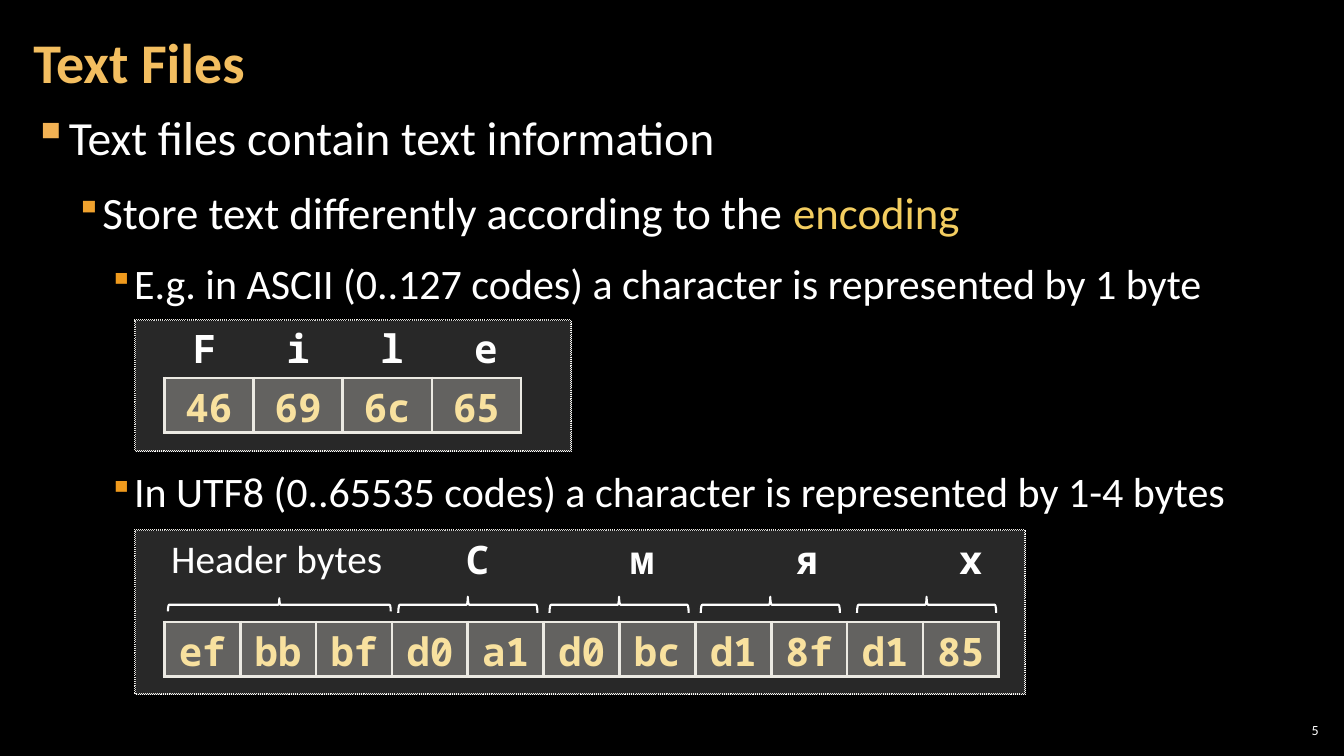
from lxml.etree import SubElement
from pptx import Presentation
from pptx.dml.color import RGBColor
from pptx.enum.dml import MSO_LINE
from pptx.enum.shapes import MSO_SHAPE
from pptx.enum.text import MSO_ANCHOR, PP_ALIGN
from pptx.oxml.ns import qn
from pptx.util import Inches, Pt

COLORS = {
    "background": "000000", "text": "FFFFFF", "title": "F3BE60",
    "keyword": "F3CD60", "byte": "F8E19F", "frame": "ECEAE3",
}
SANS, MONO = "Calibri", "Noto Sans Mono"
# Per level: indent, hanging, text size, bullet colour, bullet size in %
LEVELS = [
    (0.33, 0.33, 34, "F2B254", 100),
    (0.67, 0.25, 32, "F0A22E", 80),
    (1.0, 0.25, 30, "EF9A1D", 80),
]


def rgb(name):
    return RGBColor.from_string(COLORS[name])


def add(parent, tag, **attrs):
    """Append a DrawingML element with the given attributes."""
    el = SubElement(parent, qn(f"a:{tag}"))
    for key, value in attrs.items():
        el.set(key, str(value))
    return el


def set_alpha(fill_parent, percent):
    color = fill_parent.find(qn("a:solidFill")).find(qn("a:srgbClr"))
    add(color, "alpha", val=percent * 1000)


def style_runs(p, size, color="text", font=SANS, bold=False):
    for r in p.runs:
        r.font.size = Pt(size)
        r.font.name = font
        r.font.bold = bold
        r.font.color.rgb = rgb(color)


def set_insets(tf, horizontal, vertical):
    tf.margin_left = tf.margin_right = Inches(horizontal)
    tf.margin_top = tf.margin_bottom = Inches(vertical)


def add_text(s, box, text, size, align=PP_ALIGN.LEFT, **style):
    tf = s.shapes.add_textbox(*map(Inches, box)).text_frame
    tf.word_wrap = True
    p = tf.paragraphs[0]
    p.text = text
    p.alignment = align
    style_runs(p, size, **style)
    return tf


def add_title(s, text):
    title = s.shapes.title
    title.left, title.top = Inches(0.21), Inches(0.04)
    title.width, title.height = Inches(10.47), Inches(1.21)
    tf = title.text_frame
    set_insets(tf, 0.12, 0.04)
    tf.vertical_anchor = MSO_ANCHOR.MIDDLE
    tf.text = text
    p = tf.paragraphs[0]
    p.alignment = PP_ALIGN.LEFT
    p.line_spacing = 0.9
    style_runs(p, 40, "title", bold=True)


def add_bullets(s, items):
    """Items are (level, space before, text, highlighted ending)."""
    tf = s.shapes.add_textbox(*map(Inches, (0.21, 1, 12.54, 6.14))).text_frame
    tf.word_wrap = True
    set_insets(tf, 0.12, 0.04)
    for i, (level, before, text, keyword) in enumerate(items):
        p = tf.add_paragraph() if i else tf.paragraphs[0]
        indent, hanging, size, bullet_color, bullet_size = LEVELS[level]
        p.level = level
        p.text = text
        pPr = p._p.get_or_add_pPr()
        pPr.set("marL", str(Inches(indent)))
        pPr.set("indent", str(-Inches(hanging)))
        add(add(pPr, "buClr"), "srgbClr", val=bullet_color)
        add(pPr, "buSzPct", val=bullet_size * 1000)
        add(pPr, "buChar", char="▪")
        p.line_spacing = 1.05
        p.space_before, p.space_after = Pt(before), Pt(6)
        if keyword:
            p.add_run().text = keyword
        style_runs(p, size)
        if keyword:
            p.runs[-1].font.color.rgb = rgb("keyword")


def add_panel(s, *box):
    sp = s.shapes.add_shape(MSO_SHAPE.RECTANGLE, *map(Inches, box))
    sp.fill.solid()
    sp.fill.fore_color.rgb = rgb("background")
    sp.line.color.rgb = rgb("frame")
    sp.line.width = Pt(0.75)
    sp.line.dash_style = MSO_LINE.ROUND_DOT
    sp.shadow.inherit = False
    spPr = sp.element.spPr
    set_alpha(spPr, 20)
    shadow = add(spPr.find(qn("a:effectLst")), "outerShdw", blurRad=0,
                 dist=Pt(1.4), dir=45 * 60000, algn="tl", rotWithShape=0)
    add(shadow, "srgbClr", val=COLORS["text"])


def add_letters(s, box, letters, first, pitch):
    """One line of letters, centred on evenly spaced tab stops."""
    text = "".join(f"\t{letter}" for letter in letters)
    tf = add_text(s, box, text, 28, font=MONO, bold=True)
    tabs = add(tf.paragraphs[0]._p.get_or_add_pPr(), "tabLst")
    for i in range(len(letters)):
        add(tabs, "tab", pos=Inches(first + i * pitch), algn="ctr")


def add_byte_table(s, top, width, values):
    frame = s.shapes.add_table(1, len(values), Inches(1.63), Inches(top),
                               Inches(width), Inches(0.54))
    for column in frame.table.columns:
        column.width = Inches(width / len(values))
    for cell, value in zip(frame.table.iter_cells(), values):
        cell.fill.solid()
        cell.fill.fore_color.rgb = rgb("frame")
        cell.vertical_anchor = MSO_ANCHOR.MIDDLE
        cell.margin_left = cell.margin_right = Inches(0.05)
        cell.margin_top, cell.margin_bottom = Inches(0.04), 0
        p = cell.text_frame.paragraphs[0]
        p.text = value
        p.alignment = PP_ALIGN.CENTER
        p.line_spacing = 0.95
        style_runs(p, 28, "byte", MONO, True)
    for tcPr in frame.element.iter(qn("a:tcPr")):
        set_alpha(tcPr, 30)
        for i, side in enumerate("LRTB"):
            line = add(tcPr, f"ln{side}", w=Pt(2.25))
            add(add(line, "solidFill"), "srgbClr", val=COLORS["frame"])
            tcPr.insert(i, line)


def add_brace(s, center, span, depth):
    """Brace lying above the bytes, its point upwards."""
    sp = s.shapes.add_shape(
        MSO_SHAPE.LEFT_BRACE, Inches(center - depth / 2),
        Inches(6 - span / 2), Inches(depth), Inches(span))
    sp.rotation = 90
    sp.fill.background()
    sp.line.color.rgb = rgb("text")
    sp.line.width = Pt(1.5)
    sp.shadow.inherit = False


def add_slide_number(s, number):
    tf = add_text(s, (12.65, 7.14, 0.47, 0.21), number, 10, PP_ALIGN.RIGHT)
    set_insets(tf, 0.04, 0.04)
    tf.vertical_anchor = MSO_ANCHOR.MIDDLE


def main():
    prs = Presentation()
    prs.slide_width, prs.slide_height = Inches(13.33), Inches(7.5)
    s = prs.slides.add_slide(prs.slide_layouts[5])
    s.background.fill.solid()
    s.background.fill.fore_color.rgb = rgb("background")

    add_slide_number(s, "5")
    add_title(s, "Text Files")
    add_bullets(s, [
        (0, 0, "Text files contain text information", ""),
        (1, 6, "Store text differently according to the ", "encoding"),
        (2, 6, "E.g. in ASCII (0..127 codes) a character is represented "
               "by 1 byte", ""),
        (2, 105, "In UTF8 (0..65535 codes) a character is represented "
                 "by 1-4 bytes", ""),
    ])

    add_panel(s, 1.33, 3.17, 4.33, 1.3)
    add_letters(s, (1.58, 3.17, 3.58, 0.57), "File", 0.35, 0.93)
    add_byte_table(s, 3.75, 3.54, ["46", "69", "6c", "65"])

    add_panel(s, 1.33, 5.25, 8.83, 1.63)
    add_text(s, (1.58, 5.25, 2.33, 0.57), "Header bytes", 28,
             PP_ALIGN.CENTER)
    add_letters(s, (3.83, 5.26, 6.04, 0.57), "Смях", 0.81, 1.63)
    add_byte_table(s, 6.17, 8.28,
                   "ef bb bf d0 a1 d0 bc d1 8f d1 85".split())
    add_brace(s, 2.77, 2.21, 0.13)
    for center in (4.64, 6.14, 7.64, 9.19):
        add_brace(s, center, 1.38, 0.16)

    prs.save("out.pptx")


if __name__ == "__main__":
    main()
